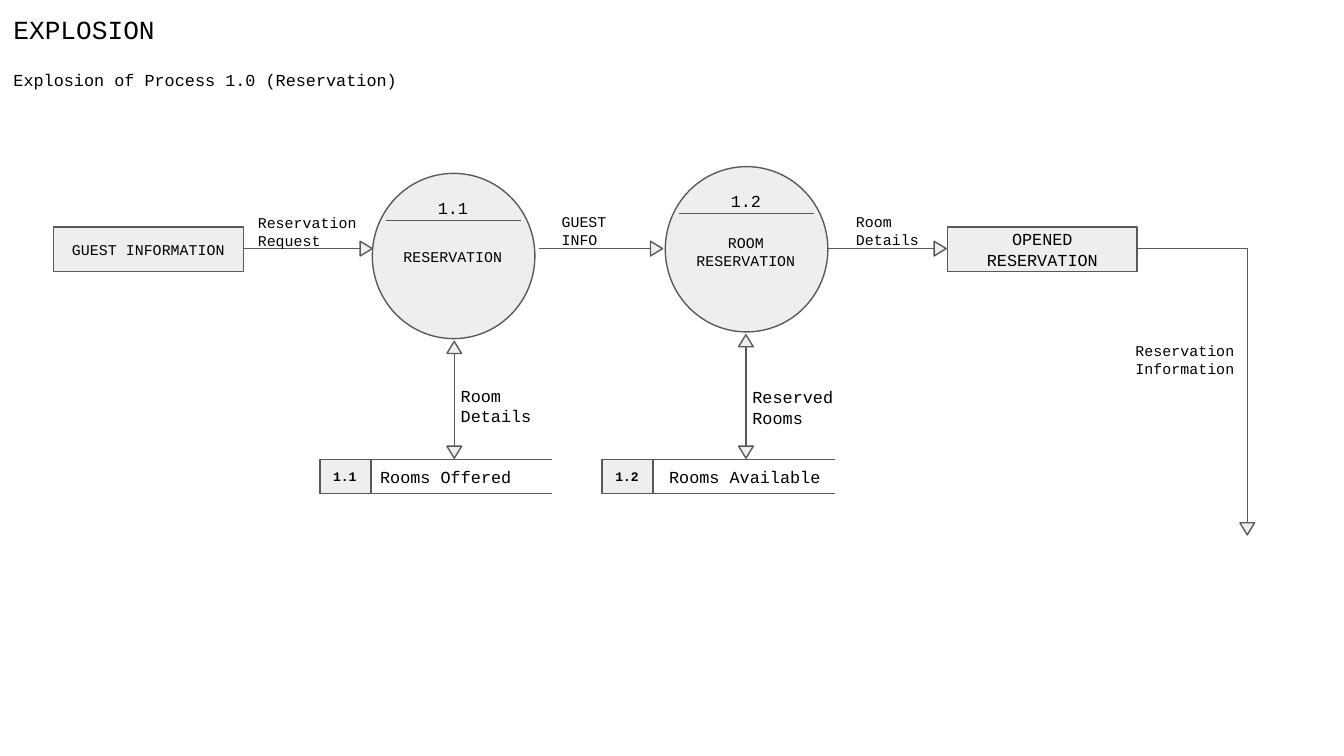
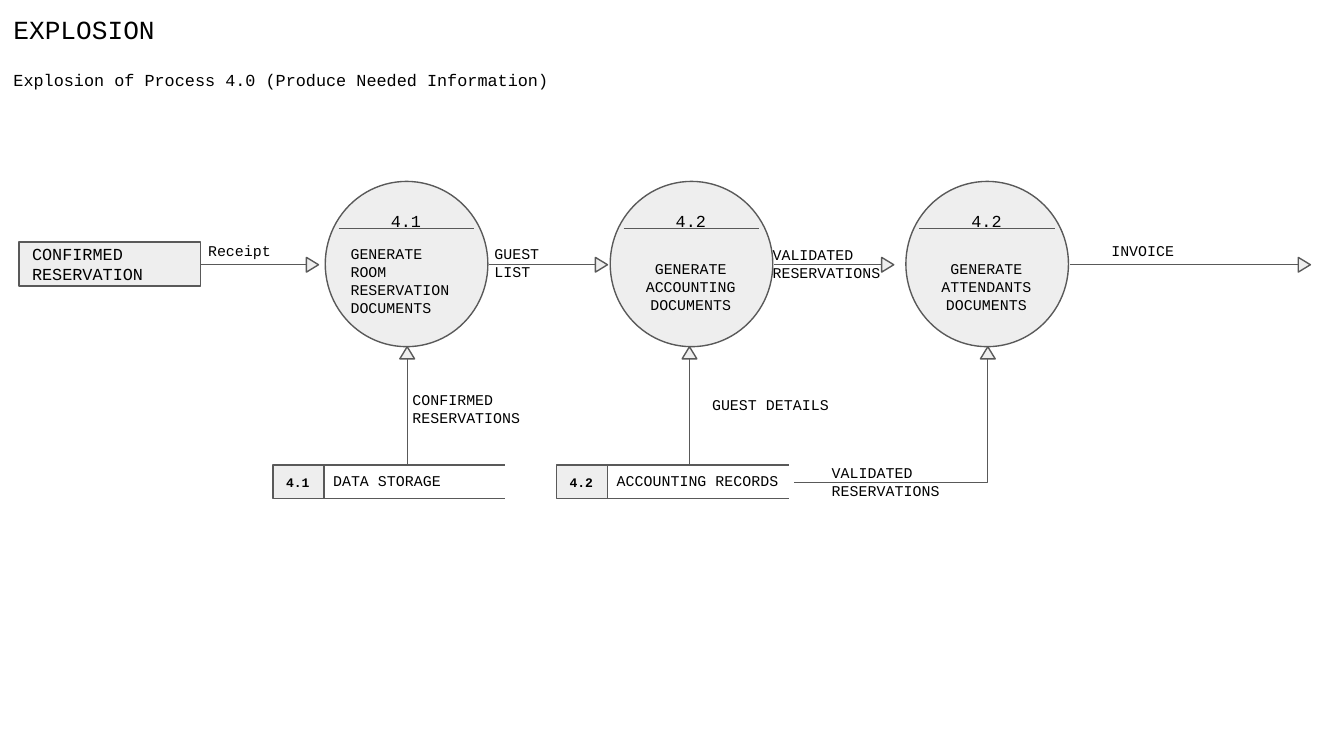
"""Build two slides that explode the processes of a reservation data flow diagram."""
from dataclasses import dataclass
from typing import Any

import lxml.etree
import pptx
import pptx.dml.color
import pptx.enum.shapes
import pptx.enum.text
import pptx.oxml.ns
import pptx.util

Inches = pptx.util.Inches
Shapes = pptx.enum.shapes.MSO_SHAPE
Align = pptx.enum.text.PP_ALIGN
Anchor = pptx.enum.text.MSO_ANCHOR
Point = tuple[float, float]
Box = tuple[float, float, float, float]


@dataclass(frozen=True)
class Theme:
    font: str = "Courier New"
    ink: str = "000000"
    fill: str = "EEEEEE"
    line: str = "595959"
    background: str = "FFFFFF"
    line_width: float = 0.75
    title: float = 14
    normal: float = 9
    small: float = 8
    tag: float = 7
    inset: float = 0.1


THEME = Theme()
CIRCLE_WIDTH, CIRCLE_HEIGHT = 1.21, 1.23
HEAD_WIDTH, HEAD_HEIGHT = 0.11, 0.09
TAG_WIDTH, STORE_HEIGHT, STORE_RULE = 0.38, 0.25, 1.35


@dataclass(frozen=True)
class Process:
    left: float
    top: float
    number: str
    name: str
    name_drop: float
    number_drop: float = 0.12
    align: Any = Align.CENTER


@dataclass(frozen=True)
class Entity:
    box: Box
    name: str
    size: float = THEME.normal
    align: Any = Align.CENTER


@dataclass(frozen=True)
class Store:
    left: float
    top: float
    number: str
    name: str
    size: float = THEME.small
    name_offset: float = 0.35


@dataclass(frozen=True)
class Flow:
    start: Point
    end: Point
    rotation: int = 90
    both_ways: bool = False
    bent: bool = False


@dataclass(frozen=True)
class Label:
    box: Box
    text: str
    size: float = THEME.small


@dataclass(frozen=True)
class Diagram:
    subtitle: str
    processes: list[Process]
    entities: list[Entity]
    stores: list[Store]
    flows: list[Flow]
    labels: list[Label]


def color(value: str) -> pptx.dml.color.RGBColor:
    return pptx.dml.color.RGBColor.from_string(value)


def place(shape: Any, box: Box) -> None:
    shape.left, shape.top, shape.width, shape.height = map(Inches, box)


def write(shape: Any, text: str, size: float, align: Any = Align.LEFT,
          anchor: Any = Anchor.TOP, bold: bool = False) -> None:
    frame = shape.text_frame
    frame.text = text
    frame.word_wrap = True
    frame.auto_size = pptx.enum.text.MSO_AUTO_SIZE.NONE
    frame.vertical_anchor = anchor
    frame.margin_left = frame.margin_right = Inches(THEME.inset)
    frame.margin_top = frame.margin_bottom = Inches(THEME.inset)
    for paragraph in frame.paragraphs:
        paragraph.alignment = align
        paragraph.space_before = pptx.util.Pt(0)
        paragraph.font.name = THEME.font
        paragraph.font.size = pptx.util.Pt(size)
        paragraph.font.bold = bold
        paragraph.font.color.rgb = color(THEME.ink)


def add_text(slide: Any, box: Box, text: str, size: float, align: Any = Align.LEFT) -> None:
    write(slide.shapes.add_textbox(*map(Inches, box)), text, size, align)


def add_outline(slide: Any, kind: Any, box: Box) -> Any:
    shape = slide.shapes.add_shape(kind, *map(Inches, box))
    shape.shadow.inherit = False
    shape.fill.solid()
    shape.fill.fore_color.rgb = color(THEME.fill)
    shape.line.color.rgb = color(THEME.line)
    shape.line.width = pptx.util.Pt(THEME.line_width)
    return shape


def add_line(slide: Any, start: Point, end: Point, bent: bool = False) -> None:
    kinds = pptx.enum.shapes.MSO_CONNECTOR
    kind = kinds.ELBOW if bent else kinds.STRAIGHT
    connector = slide.shapes.add_connector(kind, *map(Inches, (*start, *end)))
    connector.line.color.rgb = color(THEME.line)
    connector.line.width = pptx.util.Pt(THEME.line_width)
    properties = connector.element.spPr
    lxml.etree.SubElement(properties, pptx.oxml.ns.qn("a:effectLst"))
    if bent:
        properties.find(pptx.oxml.ns.qn("a:prstGeom")).set("prst", "bentConnector2")


def add_head(slide: Any, point: Point, rotation: int) -> None:
    step_x, step_y = {0: (0, -1), 90: (1, 0), 180: (0, 1)}[rotation]
    left = point[0] + step_x * HEAD_HEIGHT / 2 - HEAD_WIDTH / 2
    top = point[1] + step_y * HEAD_HEIGHT / 2 - HEAD_HEIGHT / 2
    head = add_outline(slide, Shapes.ISOSCELES_TRIANGLE, (left, top, HEAD_WIDTH, HEAD_HEIGHT))
    head.rotation = rotation


def add_process(slide: Any, process: Process) -> None:
    left, top = process.left, process.top
    add_outline(slide, Shapes.OVAL, (left, top, CIRCLE_WIDTH, CIRCLE_HEIGHT))
    add_line(slide, (left + 0.1, top + 0.35), (left + 1.11, top + 0.35))
    add_text(slide, (left + 0.09, top + process.name_drop, 1.02, 0.43),
             process.name, THEME.small, process.align)
    add_text(slide, (left + 0.36, top + process.number_drop, 0.48, 0.21),
             process.number, THEME.normal, Align.CENTER)


def add_entity(slide: Any, entity: Entity) -> None:
    shape = add_outline(slide, Shapes.RECTANGLE, entity.box)
    write(shape, entity.name, entity.size, entity.align, Anchor.MIDDLE)


def add_store(slide: Any, store: Store) -> None:
    tag = add_outline(slide, Shapes.RECTANGLE, (store.left, store.top, TAG_WIDTH, STORE_HEIGHT))
    write(tag, store.number, THEME.tag, anchor=Anchor.MIDDLE, bold=True)
    rule_left = store.left + TAG_WIDTH
    for height in (store.top, store.top + STORE_HEIGHT):
        add_line(slide, (rule_left, height), (rule_left + STORE_RULE, height))
    add_text(slide, (store.left + store.name_offset, store.top - 0.05, 1.98, 0.4),
             store.name, store.size)


def add_flow(slide: Any, flow: Flow) -> None:
    add_head(slide, flow.end, flow.rotation)
    if flow.both_ways:
        add_head(slide, flow.start, 180 - flow.rotation)
    add_line(slide, flow.start, flow.end, flow.bent)


def add_headings(slide: Any, subtitle: str) -> None:
    title, body = slide.shapes.title, slide.placeholders[1]
    place(title, (0, 0, 5.59, 0.4))
    write(title, "EXPLOSION", THEME.title)
    place(body, (0, 0.42, 5.59, 0.4))
    write(body, subtitle, THEME.normal)
    properties = body.text_frame.paragraphs[0]._p.get_or_add_pPr()
    properties.set("marL", "0")
    properties.set("indent", "0")
    lxml.etree.SubElement(properties, pptx.oxml.ns.qn("a:buNone"))
    properties.append(properties.find(pptx.oxml.ns.qn("a:defRPr")))


def add_diagram(presentation: Any, diagram: Diagram) -> None:
    slide = presentation.slides.add_slide(presentation.slide_layouts[1])
    slide.background.fill.solid()
    slide.background.fill.fore_color.rgb = color(THEME.background)
    add_headings(slide, diagram.subtitle)
    for process in diagram.processes:
        add_process(slide, process)
    for entity in diagram.entities:
        add_entity(slide, entity)
    for store in diagram.stores:
        add_store(slide, store)
    for flow in diagram.flows:
        add_flow(slide, flow)
    for label in diagram.labels:
        add_text(slide, label.box, label.text, label.size)


RESERVATION = Diagram(
    "Explosion of Process 1.0 (Reservation)",
    processes=[
        Process(2.77, 1.29, "1.1", "RESERVATION", 0.45, 0.08),
        Process(4.95, 1.24, "1.2", "ROOM\nRESERVATION", 0.4, 0.08),
    ],
    entities=[
        Entity((0.4, 1.69, 1.41, 0.33), "GUEST INFORMATION", THEME.small),
        Entity((7.05, 1.69, 1.41, 0.33), "OPENED RESERVATION"),
    ],
    stores=[
        Store(2.38, 3.42, "1.1", "Rooms Offered", THEME.normal),
        Store(4.48, 3.42, "1.2", "Rooms Available", THEME.normal, 0.4),
    ],
    flows=[
        Flow((1.81, 1.85), (2.68, 1.85)),
        Flow((4.01, 1.85), (4.84, 1.85)),
        Flow((6.16, 1.85), (6.95, 1.85)),
        Flow((8.46, 1.85), (9.28, 3.89), 180, bent=True),
        Flow((3.38, 3.32), (3.38, 2.63), 0, both_ways=True),
        Flow((5.55, 3.32), (5.55, 2.58), 0, both_ways=True),
    ],
    labels=[
        Label((1.82, 1.51, 1.13, 0.16), "Reservation Request"),
        Label((3.33, 2.77, 1.07, 0.21), "Room Details", THEME.normal),
        Label((5.5, 2.78, 1.21, 0.33), "Reserved Rooms", THEME.normal),
        Label((4.08, 1.53, 0.78, 0.11), "GUEST INFO"),
        Label((6.27, 1.48, 0.68, 0.33), "Room Details"),
        Label((8.35, 2.44, 1.25, 0.75), "Reservation\nInformation"),
    ],
)

INFORMATION = Diagram(
    "Explosion of Process 4.0 (Produce Needed Information)",
    processes=[
        Process(2.42, 1.35, "4.1", "GENERATE ROOM RESERVATION DOCUMENTS", 0.37,
                align=Align.LEFT),
        Process(4.54, 1.35, "4.2", "GENERATE\nACCOUNTING\nDOCUMENTS", 0.48),
        Process(6.74, 1.35, "4.2", "GENERATE ATTENDANTS DOCUMENTS", 0.48),
    ],
    entities=[
        Entity((0.14, 1.8, 1.35, 0.33), "CONFIRMED\nRESERVATION", align=Align.LEFT),
    ],
    stores=[
        Store(2.03, 3.46, "4.1", "DATA STORAGE"),
        Store(4.14, 3.46, "4.2", "ACCOUNTING RECORDS"),
    ],
    flows=[
        Flow((1.49, 1.97), (2.28, 1.97)),
        Flow((3.64, 1.97), (4.43, 1.97)),
        Flow((5.76, 1.97), (6.56, 1.97)),
        Flow((7.96, 1.97), (9.66, 1.97)),
        Flow((3.03, 3.46), (3.03, 2.67), 0),
        Flow((5.13, 3.46), (5.13, 2.67), 0),
        Flow((5.91, 3.59), (7.35, 2.67), 0, bent=True),
    ],
    labels=[
        Label((3.58, 1.72, 0.98, 0.72), "GUEST\nLIST"),
        Label((5.65, 1.73, 1.21, 0.47), "VALIDATED\nRESERVATIONS"),
        Label((2.97, 2.81, 1.21, 0.47), "CONFIRMED\nRESERVATIONS"),
        Label((5.2, 2.84, 1.27, 0.4), "GUEST DETAILS"),
        Label((6.09, 3.35, 1.21, 0.47), "VALIDATED\nRESERVATIONS"),
        Label((8.17, 1.7, 1.28, 0.29), "INVOICE"),
        Label((1.45, 1.7, 1.04, 0.47), "Receipt"),
    ],
)

presentation = pptx.Presentation()
presentation.slide_width = Inches(10)
presentation.slide_height = Inches(10 * 9 / 16)
for diagram in (RESERVATION, INFORMATION):
    add_diagram(presentation, diagram)
presentation.save("out.pptx")
